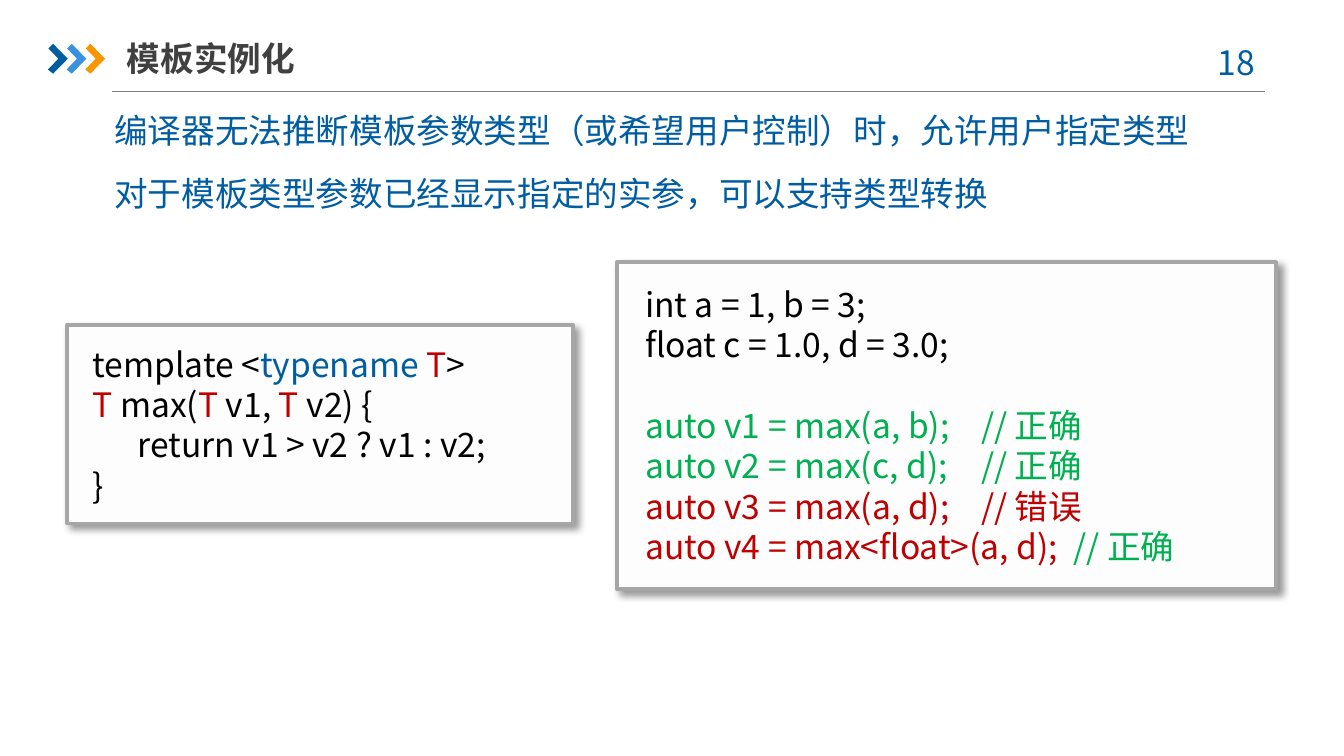
from dataclasses import dataclass

from lxml.etree import SubElement
from pptx import Presentation
from pptx.dml.color import RGBColor
from pptx.enum.shapes import MSO_CONNECTOR, MSO_SHAPE
from pptx.enum.text import MSO_ANCHOR, MSO_AUTO_SIZE, PP_ALIGN
from pptx.oxml.ns import qn
from pptx.util import Pt


@dataclass(frozen=True)
class Theme:
    font: str = "Noto Sans CJK SC"
    size: float = 18
    leading: float = 21.6
    paragraph_gap: float = 12
    blue: str = "005DA2"
    sky: str = "3992DB"
    orange: str = "F79600"
    heading: str = "404040"
    rule: str = "808080"
    code: str = "000000"
    red: str = "C00000"
    green: str = "00B050"
    card: str = "FDFDFD"
    border: str = "A6A6A6"


THEME = Theme()

CHEVRON = [(0.5, 2.5), (3, 0), (10.8, 8), (3, 16), (0.2, 13.8), (5.8, 8)]
CHEVRON_STEP = 10

TEMPLATE_CODE = [
    [("template <", THEME.code), ("typename ", THEME.blue),
     ("T", THEME.red), (">", THEME.code)],
    [("T", THEME.red), (" max(", THEME.code), ("T", THEME.red),
     (" v1, ", THEME.code), ("T", THEME.red), (" v2) {", THEME.code)],
    [("      return v1 > v2 ? v1 : v2;", THEME.code)],
    [("}", THEME.code)],
]
DECLARATIONS = [
    [("int a = 1, b = 3;", THEME.code)],
    [("float c = 1.0, d = 3.0;", THEME.code)],
]
CALLS = [
    [("auto v1 = max(a, b);\t// 正确", THEME.green)],
    [("auto v2 = max(c, d);\t// 正确", THEME.green)],
    [("auto v3 = max(a, d);\t// 错误", THEME.red)],
    [("auto v4 = max<float>(a, d);  ", THEME.red), ("// 正确", THEME.green)],
]


def rgb(color):
    return RGBColor.from_string(color)


def place(shape, box):
    shape.left, shape.top, shape.width, shape.height = map(Pt, box)


def style_run(run, color, bold=False):
    run.font.size = Pt(THEME.size)
    run.font.bold = bold
    run.font.color.rgb = rgb(color)
    run.font.name = THEME.font
    east_asian = SubElement(run.font._element, qn("a:ea"))
    east_asian.set("typeface", THEME.font)


def style_paragraph(paragraph, align=PP_ALIGN.LEFT, before=0, after=0):
    paragraph.alignment = align
    paragraph.line_spacing = Pt(THEME.leading)
    paragraph.space_before = Pt(before)
    paragraph.space_after = Pt(after)


def add_chevrons(slide, left, top):
    chevrons = slide.shapes.add_group_shape()
    for index, color in enumerate((THEME.blue, THEME.sky, THEME.orange)):
        shift = left + index * CHEVRON_STEP
        corners = [(Pt(shift + x), Pt(top + y)) for x, y in CHEVRON]
        outline = chevrons.shapes.build_freeform(*corners[0])
        outline.add_line_segments(corners[1:], close=True)
        chevron = outline.convert_to_shape()
        chevron.fill.solid()
        chevron.fill.fore_color.rgb = rgb(color)
        chevron.line.fill.background()
        chevron.shadow.inherit = False


def add_header(slide, box, heading, page):
    left, top, width, height = box
    rule_left, rule_top = left + 34.5, top + height
    rule = slide.shapes.add_connector(
        MSO_CONNECTOR.STRAIGHT, Pt(rule_left), Pt(rule_top),
        Pt(left + width), Pt(rule_top))
    rule.line.color.rgb = rgb(THEME.rule)
    rule.line.width = Pt(0.75)
    SubElement(rule._element.spPr, qn("a:effectLst"))
    add_chevrons(slide, left, top + 7.5)

    number = slide.shapes.add_textbox(
        Pt(left + width - 39.5), Pt(top + 3), Pt(52.5), Pt(29))
    number.text_frame.word_wrap = True
    number.text_frame.text = page
    style_paragraph(number.text_frame.paragraphs[0], PP_ALIGN.CENTER)
    style_run(number.text_frame.paragraphs[0].runs[0], THEME.blue)

    title = slide.shapes.title
    place(title, (left + 42.5, top, 185, 30))
    frame = title.text_frame
    frame.text = heading
    frame.auto_size = MSO_AUTO_SIZE.NONE
    frame.vertical_anchor = MSO_ANCHOR.MIDDLE
    frame.margin_left = frame.margin_right = 0
    style_paragraph(frame.paragraphs[0])
    style_run(frame.paragraphs[0].runs[0], THEME.heading, bold=True)


def add_points(slide, box, points):
    body = slide.placeholders[1]
    place(body, box)
    frame = body.text_frame
    frame.text = "\n".join(points)
    frame.auto_size = MSO_AUTO_SIZE.NONE
    for point in frame.paragraphs:
        style_paragraph(point, PP_ALIGN.JUSTIFY, after=THEME.paragraph_gap)
        properties = point._p.get_or_add_pPr()
        properties.set("marL", "0")
        properties.set("indent", "0")
        SubElement(properties, qn("a:buNone"))
        style_run(point.runs[0], THEME.blue)


def add_shadow(shape):
    effects = SubElement(shape._element.spPr, qn("a:effectLst"))
    shadow = SubElement(
        effects, qn("a:outerShdw"), blurRad=str(Pt(4)), dist=str(Pt(3)),
        dir=str(45 * 60000), algn="tl", rotWithShape="0")
    black = SubElement(shadow, qn("a:srgbClr"), val="000000")
    SubElement(black, qn("a:alpha"), val="40000")


def add_code_card(slide, box, padding, blocks):
    """Draw a shadowed card; blocks of code lines are set one line apart."""
    left, top, width, height = box
    group = slide.shapes.add_group_shape()
    card = group.shapes.add_shape(MSO_SHAPE.RECTANGLE, *map(Pt, box))
    card.fill.solid()
    card.fill.fore_color.rgb = rgb(THEME.card)
    card.line.color.rgb = rgb(THEME.border)
    card.line.width = Pt(2)
    add_shadow(card)

    code = group.shapes.add_textbox(
        Pt(left + padding), Pt(top + padding),
        Pt(width - 2 * padding), Pt(height - 2 * padding))
    frame = code.text_frame
    frame.word_wrap = True
    lines = [(line, block > 0 and row == 0)
             for block, rows in enumerate(blocks)
             for row, line in enumerate(rows)]
    for index, (line, starts_block) in enumerate(lines):
        paragraph = frame.add_paragraph() if index else frame.paragraphs[0]
        style_paragraph(paragraph, before=THEME.leading if starts_block else 0)
        for text, color in line:
            run = paragraph.add_run()
            run.text = text
            style_run(run, color)


def main():
    deck = Presentation()
    deck.slide_width, deck.slide_height = Pt(720), Pt(405)
    slide = deck.slides.add_slide(deck.slide_layouts[1])
    add_header(slide, (25.5, 16, 652, 33), "模板实例化", "18 ")
    add_points(slide, (54, 55.5, 623.5, 63.5), [
        "编译器无法推断模板参数类型（或希望用户控制）时，允许用户指定类型",
        "对于模板类型参数已经显示指定的实参，可以支持类型转换",
    ])
    add_code_card(slide, (330.5, 140.5, 353, 175), 8, [DECLARATIONS, CALLS])
    add_code_card(slide, (36, 174, 271, 106.5), 6.5, [TEMPLATE_CODE])
    deck.save("out.pptx")


if __name__ == "__main__":
    main()
